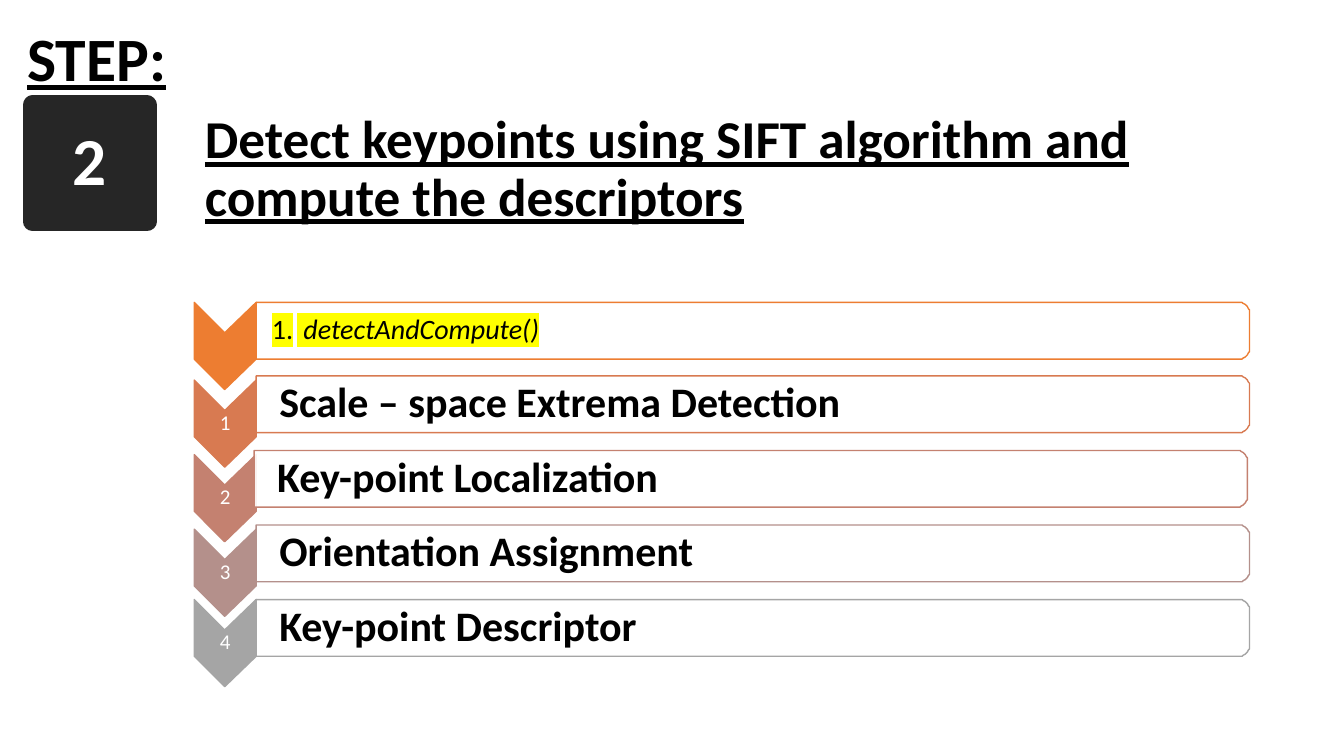
from math import cos, pi, sin

from lxml.etree import SubElement
from pptx import Presentation
from pptx.dml.color import RGBColor
from pptx.enum.shapes import MSO_SHAPE as Shape
from pptx.enum.text import MSO_ANCHOR as Anchor, MSO_AUTO_SIZE as Auto, PP_ALIGN as Align
from pptx.oxml.ns import qn
from pptx.util import Pt

PX = 9525
BLACK = RGBColor(0, 0, 0)
WHITE = RGBColor(255, 255, 255)
DARK = RGBColor(0x26, 0x26, 0x26)
ORANGE = RGBColor(0xED, 0x7D, 0x31)
RUST = RGBColor(0xD8, 0x7A, 0x51)
ROSE = RGBColor(0xC4, 0x81, 0x70)
MAUVE = RGBColor(0xB4, 0x90, 0x8B)
GREY = RGBColor(0xA5, 0xA5, 0xA5)
MARK = "FFFF00"

LEFT, MID, RIGHT = 185, 244, 1190
TOP, SIDE, NOTCH, ROUND = 288, 54, 29, 9
STEPS = [  # number, label, colour, chevron drop, box shift
    ("1", "Scale – space Extrema Detection", RUST, 4, 0),
    ("2", "Key-point Localization", ROSE, 4, -2),
    ("3", "Orientation Assignment", MAUVE, 4, 0),
    ("4", "Key-point Descriptor", GREY, 0, 0),
]


class Deck:
    font = "Calibri"

    def __init__(self):
        self.prs = Presentation()
        self.prs.slide_width, self.prs.slide_height = 1280 * PX, 720 * PX
        self.slide = self.prs.slides.add_slide(self.prs.slide_layouts[5])
        self.shapes = self.slide.shapes

    def frame(self, shape, anchor, pads=(10, 5, 10, 5), align=Align.LEFT, after=0):
        """Set up the text frame and return its first paragraph."""
        tf = shape.text_frame
        tf.word_wrap, tf.auto_size = True, Auto.NONE
        tf.vertical_anchor = anchor
        (tf.margin_left, tf.margin_top,
         tf.margin_right, tf.margin_bottom) = [p * PX for p in pads]
        para = tf.paragraphs[0]
        para.alignment, para.line_spacing = align, 0.9
        para.space_before, para.space_after = Pt(0), Pt(after)
        return para

    def run(self, para, text, size, color=BLACK, bold=False, under=False,
            slant=False, mark=None):
        run = para.add_run()
        run.text = text
        font = run.font
        font.size, font.name, font.bold = Pt(size), self.font, bold
        font.underline, font.italic = under, slant
        font.color.rgb = color
        if mark:
            props = run._r.get_or_add_rPr()
            light = SubElement(props, qn("a:highlight"))
            SubElement(light, qn("a:srgbClr"), val=mark)
            props.find(qn("a:latin")).addprevious(light)

    def hang(self, para, size, number=False):
        """Give the paragraph a hanging indent, with or without a number."""
        para.level = 1
        props = para._p.get_or_add_pPr()
        props.set("marL", str(size * PX))
        props.set("indent", str(-size * PX))
        if number:
            color = SubElement(props, qn("a:buClr"))
            SubElement(color, qn("a:srgbClr"), val=str(BLACK))
            SubElement(props, qn("a:buAutoNum"), type="arabicPeriod")
        else:
            SubElement(props, qn("a:buNone"))

    def paint(self, shape, fill, line, width=1):
        shape.shadow.inherit = False
        shape.fill.solid()
        shape.fill.fore_color.rgb = fill
        shape.line.color.rgb = line
        shape.line.width = Pt(width)

    def place(self, shape, x, y, w, h):
        shape.left, shape.top, shape.width, shape.height = [v * PX for v in (x, y, w, h)]

    def title(self, text, *area):
        shape = self.shapes.title
        self.place(shape, *area)
        self.run(self.frame(shape, Anchor.BOTTOM), text, 38, bold=True, under=True)

    def label(self, text, *area):
        shape = self.shapes.add_textbox(*[v * PX for v in area])
        self.run(self.frame(shape, Anchor.MIDDLE), text, 44, bold=True, under=True)

    def badge(self, text, *area):
        shape = self.shapes.add_shape(Shape.RECTANGLE, *[v * PX for v in area])
        self.paint(shape, DARK, DARK, 13.75)
        para = self.frame(shape, Anchor.MIDDLE, align=Align.CENTER)
        self.run(para, text, 48, WHITE, bold=True)

    def form(self, points, fill, line):
        path = self.shapes.build_freeform(*points[0], scale=PX)
        path.add_line_segments(points[1:], close=True)
        shape = path.convert_to_shape()
        self.paint(shape, fill, line)
        return shape

    def arrow(self, y, color, text=None):
        tip = (LEFT + MID) / 2
        points = [(MID, y), (MID, y + SIDE), (tip, y + SIDE + NOTCH),
                  (LEFT, y + SIDE), (LEFT, y), (tip, y + NOTCH)]
        shape = self.form(points, color, color)
        if text:
            para = self.frame(shape, Anchor.MIDDLE, (1, 30, 1, 30), Align.CENTER, 6)
            self.run(para, text, 15, WHITE)

    def box(self, y, color, shift=0):
        """Draw a bar whose two right corners are round."""
        left, right, low = MID + shift, RIGHT + shift, y + SIDE
        turns = [pi / 2 * i / 8 for i in range(9)]
        upper = [(right - ROUND + ROUND * sin(t), y + ROUND - ROUND * cos(t)) for t in turns]
        lower = [(right - ROUND + ROUND * cos(t), low - ROUND + ROUND * sin(t)) for t in turns]
        shape = self.form([(left, y), *upper, *lower, (left, low)], WHITE, color)
        tint = shape.fill._xPr.find(qn("a:solidFill"))[0]
        SubElement(tint, qn("a:alpha"), val="90000")
        return shape

    def call(self, text, y, color):
        self.arrow(y, color)
        para = self.frame(self.box(y, color), Anchor.MIDDLE, (15, 4, 4, 4), after=4)
        self.hang(para, 24, number=True)
        self.run(para, " ", 20, mark=MARK)
        self.run(para, text, 20, slant=True, mark=MARK)

    def step(self, number, text, color, y, drop, shift):
        self.arrow(y + drop, color, number)
        shape = self.box(y, color, shift)
        para = self.frame(shape, Anchor.MIDDLE, (22, 5, 5, 5), after=5)
        self.hang(para, 30)
        self.run(para, text, 30, bold=True)


def main():
    deck = Deck()
    deck.title("Detect keypoints using SIFT algorithm and compute the descriptors",
               185, 35, 1027, 187)
    deck.call("detectAndCompute()", TOP, ORANGE)
    for i, (number, text, color, drop, shift) in enumerate(STEPS, 1):
        deck.step(number, text, color, TOP + i * 283 // 4, drop, shift)
    deck.badge("2", 31, 100, 109, 111)
    deck.label("STEP:", 16, -11, 181, 139)
    deck.prs.save("out.pptx")


if __name__ == "__main__":
    main()
